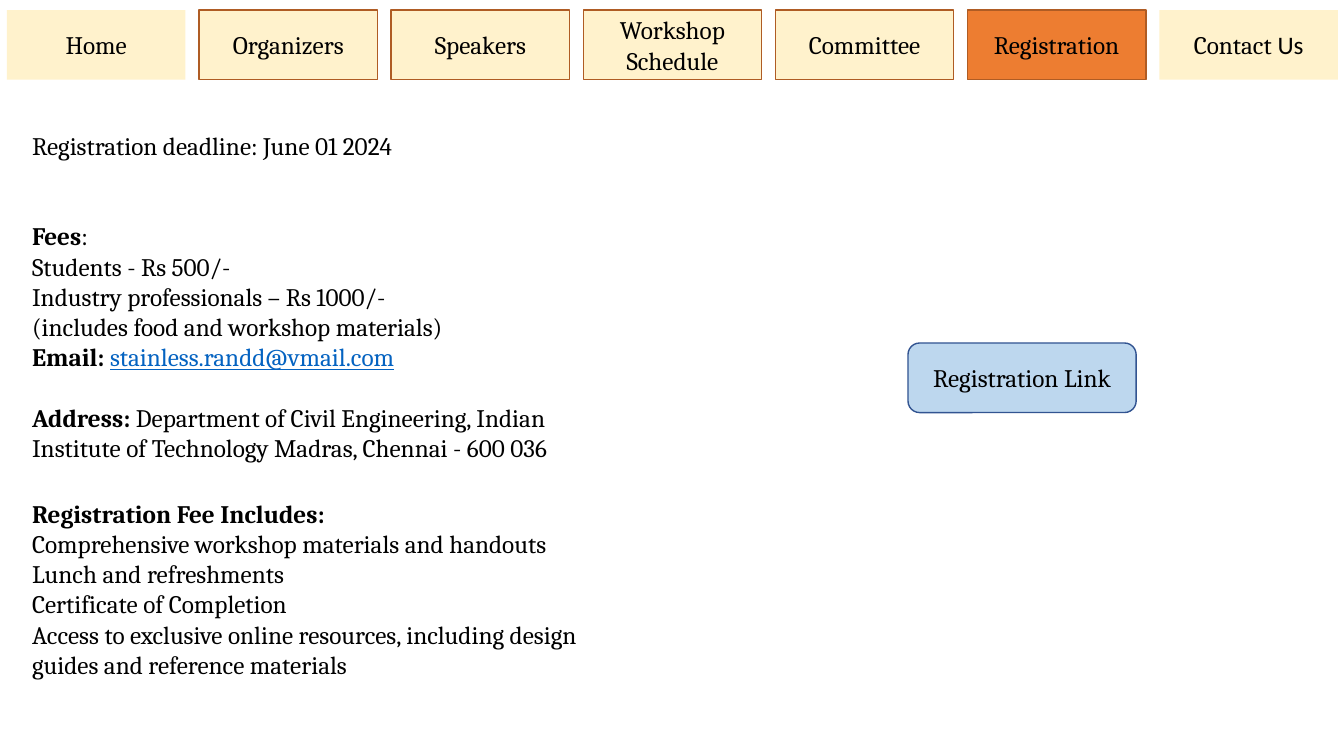
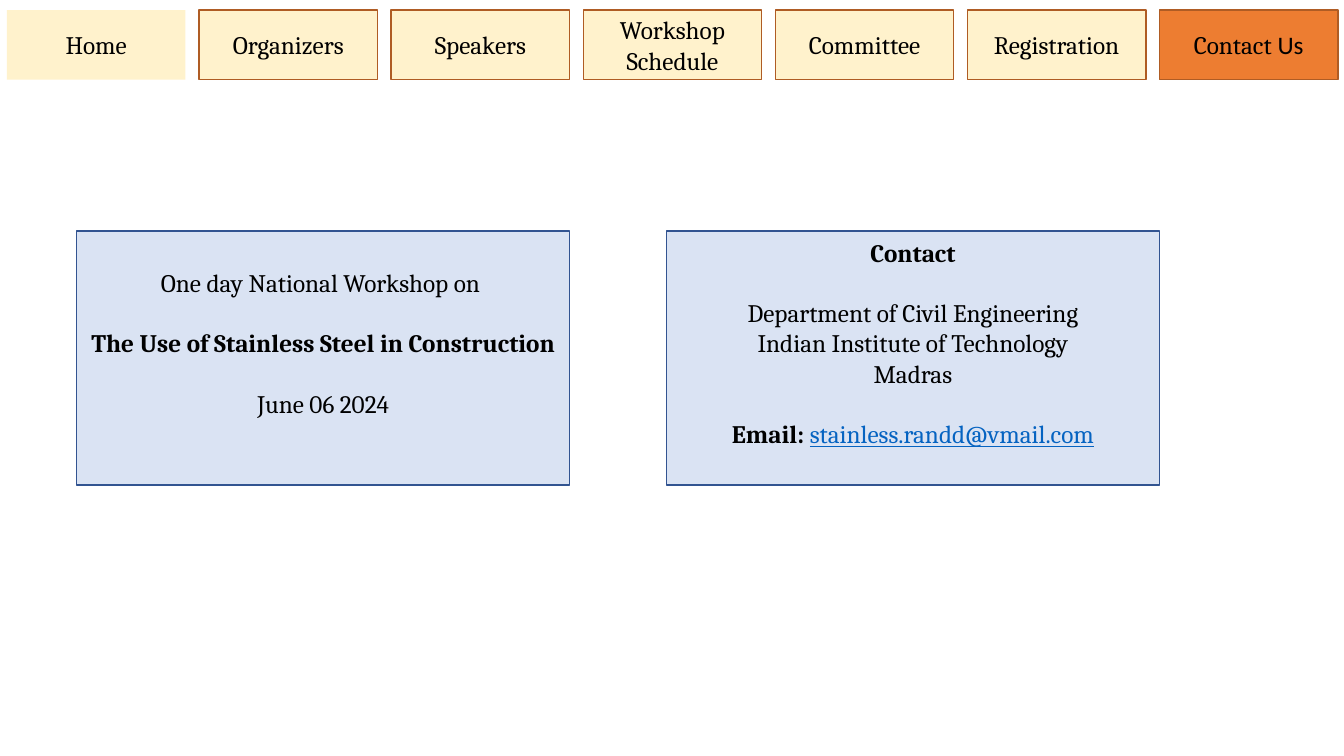
from pptx import Presentation
from pptx.dml.color import RGBColor
from pptx.enum.shapes import MSO_SHAPE
from pptx.enum.text import MSO_ANCHOR, PP_ALIGN
from pptx.util import Pt

RECTANGLE, ROUNDED = MSO_SHAPE.RECTANGLE, MSO_SHAPE.ROUNDED_RECTANGLE
TOP, MIDDLE = MSO_ANCHOR.TOP, MSO_ANCHOR.MIDDLE
LEFT, CENTER = PP_ALIGN.LEFT, PP_ALIGN.CENTER

BLACK = RGBColor(0x00, 0x00, 0x00)
CREAM = RGBColor(0xFF, 0xF2, 0xCC)
ORANGE = RGBColor(0xED, 0x7D, 0x31)
BROWN = RGBColor(0xAF, 0x5C, 0x24)
NAVY = RGBColor(0x32, 0x54, 0x91)
SKY = RGBColor(0xBD, 0xD7, 0xEE)
PALE_BLUE = RGBColor(0xDA, 0xE3, 0xF3)
LINK_BLUE = RGBColor(0x05, 0x63, 0xC1)

# Text formats; spans override the base
BASE = {"name": "Cambria", "size": Pt(18), "bold": False, "underline": False}
PLAIN = {}
BOLD = {"bold": True}
LINK = {"underline": True, "color": LINK_BLUE}
SANS = {"name": "Calibri"}
LINE = 21.6  # height of one text line, in points
INSET = 3.6

# Content: a paragraph is (lines of space before, spans)
EMAIL = [("Email: ", BOLD), ("stainless.randd@vmail.com", LINK)]


def plain(text, gap=0):
    return gap, [(text, PLAIN)]


def bold(text, gap=0):
    return gap, [(text, BOLD)]


# Each tab: spans, outlined when not current
TABS = [
    ([("Home", PLAIN)], False),
    ([("Organizers", PLAIN)], True),
    ([("Speakers", PLAIN)], True),
    ([("Workshop Schedule", PLAIN)], True),
    ([("Committee", PLAIN)], True),
    ([("Registration", PLAIN)], True),
    ([("Contact", PLAIN), (" Us", SANS)], False),
]
REGISTRATION_TAB, CONTACT_TAB = 5, 6

FEES = [
    plain("Registration deadline: June 01 2024"),
    (2, [("Fees", BOLD), (":", PLAIN)]),
    plain("Students - Rs 500/-"),
    plain("Industry professionals – Rs 1000/-"),
    plain("(includes food and workshop materials)"),
    (0, EMAIL),
    (1, [("Address:", BOLD),
         (" Department of Civil Engineering, Indian Institute of Technology "
          "Madras, Chennai - 600 036", PLAIN)]),
]
INCLUDED = [
    bold("Registration Fee Includes:"),
    plain("Comprehensive workshop materials and handouts"),
    plain("Lunch and refreshments"),
    plain("Certificate of Completion"),
    plain("Access to exclusive online resources, including design guides "
          "and reference materials"),
]
PANELS = [
    [plain("One day National Workshop on "),
     bold("The Use of Stainless Steel in Construction", 1),
     plain("June 06 2024", 1)],
    [bold("Contact"),
     plain("Department of Civil Engineering", 1),
     plain("Indian Institute of Technology"),
     plain("Madras"),
     (1, EMAIL)],
]

# Layout, in points
TAB_LEFT, TAB_TOP, TAB_WIDTH, TAB_HEIGHT, TAB_STEP = 5, 7.2, 127.5, 49.7, 137.2
FEES_AREA = (15.84, 89.3, 433.4, 247)
INCLUDED_AREA = (15.84, 352.2, 413.3, 160)
BUTTON_AREA = (648.6, 245, 163, TAB_HEIGHT)
PANEL_LEFT, PANEL_TOP, PANEL_WIDTH, PANEL_HEIGHT, PANEL_STEP = 54.8, 165, 352.2, 181.4, 421.2


def write(box, paragraphs, align, anchor):
    frame = box.text_frame
    frame.word_wrap = True
    frame.vertical_anchor = anchor
    for index, (gap, spans) in enumerate(paragraphs):
        para = frame.paragraphs[0] if index == 0 else frame.add_paragraph()
        para.alignment = align
        if gap:
            para.space_before = Pt(gap * LINE)
        for text, style in spans:
            span = para.add_run()
            span.text = text
            values = {**BASE, "color": BLACK, **style}
            span.font.color.rgb = values.pop("color")
            for key, value in values.items():
                setattr(span.font, key, value)


def add_text(page, area, paragraphs):
    box = page.shapes.add_textbox(*map(Pt, area))
    write(box, paragraphs, LEFT, TOP)


def add_block(page, area, paragraphs, fill, line=None, kind=RECTANGLE):
    box = page.shapes.add_shape(kind, *map(Pt, area))
    box.shadow.inherit = False
    box.fill.solid()
    box.fill.fore_color.rgb = fill
    if line is None:
        box.line.fill.background()
    else:
        box.line.color.rgb = line
        box.line.width = Pt(1)
    write(box, paragraphs, CENTER, MIDDLE)
    return box


def add_page(deck, current):
    """Add a blank page with the navigation tabs."""
    page = deck.slides.add_slide(deck.slide_layouts[6])
    for index, (spans, outlined) in enumerate(TABS):
        area = (TAB_LEFT + index * TAB_STEP, TAB_TOP, TAB_WIDTH, TAB_HEIGHT)
        active = index == current
        add_block(page, area, [(0, spans)], ORANGE if active else CREAM,
                  BROWN if active or outlined else None)
    return page


def main():
    deck = Presentation()
    deck.slide_width, deck.slide_height = Pt(960), Pt(540)

    # Registration
    page = add_page(deck, REGISTRATION_TAB)
    add_text(page, FEES_AREA, FEES)
    add_text(page, INCLUDED_AREA, INCLUDED)
    add_block(page, BUTTON_AREA, [plain("Registration Link")], SKY, NAVY, ROUNDED)

    # Contact: panel text sits half a line above the middle
    page = add_page(deck, CONTACT_TAB)
    for index, paragraphs in enumerate(PANELS):
        area = (PANEL_LEFT + index * PANEL_STEP, PANEL_TOP, PANEL_WIDTH, PANEL_HEIGHT)
        panel = add_block(page, area, paragraphs, PALE_BLUE, NAVY)
        panel.text_frame.margin_bottom = Pt(INSET + LINE)

    deck.save("out.pptx")


if __name__ == "__main__":
    main()
